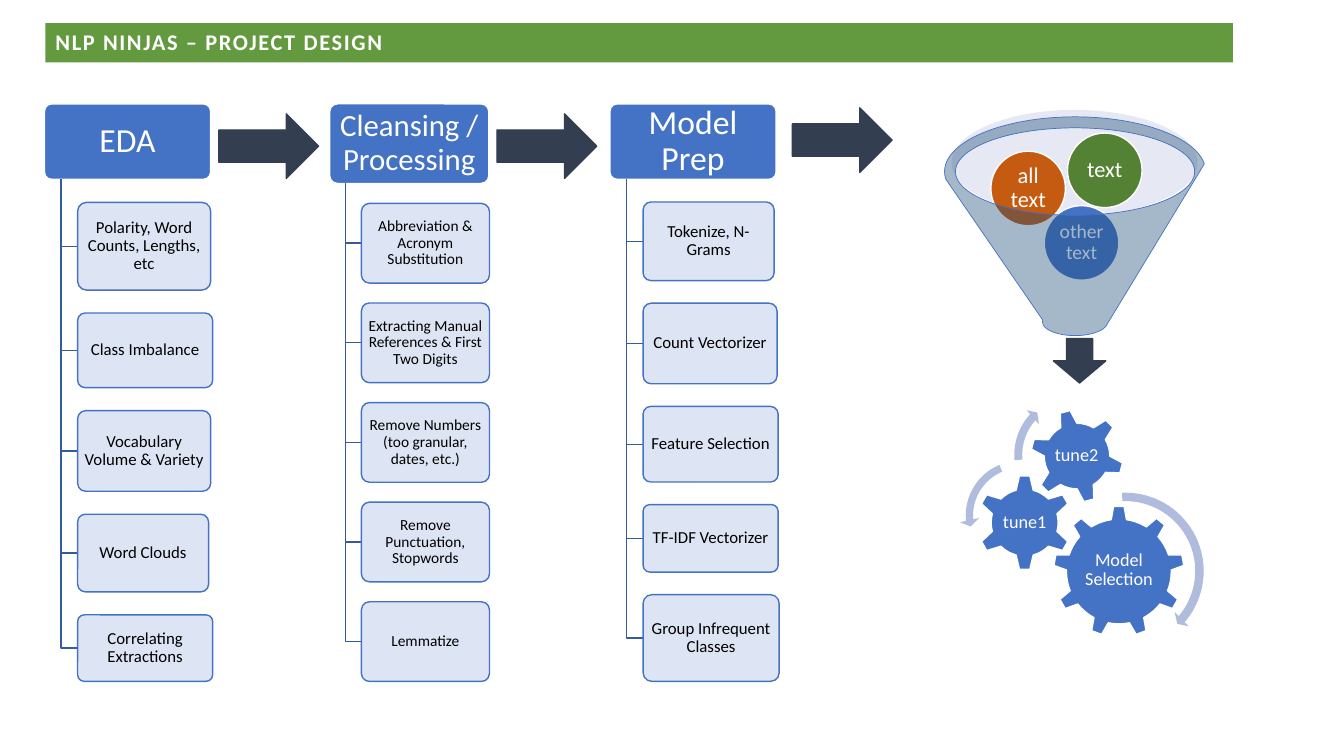
import pptx
import pptx.util
import pptx.dml.color
import pptx.enum.shapes
import pptx.enum.text
import pptx.oxml
import pptx.oxml.ns

# Grid: every length below counts cells of a tenth of an inch
CELL = pptx.util.Inches(0.1)
COLUMNS, ROWS = 133.33, 75

SHAPES = pptx.enum.shapes.MSO_SHAPE
ALIGN = pptx.enum.text.PP_ALIGN
FONT = "Calibri"
BLUE, PALE_BLUE, BRANCH_BLUE = "4472C4", "DAE3F3", "365B9D"
SLATE, GREEN, WHITE, BLACK = "333F50", "63993F", "FFFFFF", "000000"


def cells(*counts):
    return [round(count * CELL) for count in counts]


def paint(color_format, hex_color, alpha=100):
    color_format.rgb = pptx.dml.color.RGBColor.from_string(hex_color)
    if alpha < 100:
        color = color_format._xFill[0]
        element = pptx.oxml.parse_xml(
            f'<a:alpha {pptx.oxml.ns.nsdecls("a")} val="{alpha * 1000}"/>')
        color.append(element)


def style(shape, fill=None, line=None, weight=1, alpha=100):
    shape.shadow.inherit = False
    if fill:
        shape.fill.solid()
        paint(shape.fill.fore_color, fill, alpha)
    else:
        shape.fill.background()
    if line:
        paint_line = shape.line
        paint_line.fill.solid()
        paint(paint_line.fill.fore_color, line)
        paint_line.width = pptx.util.Pt(weight)
    else:
        shape.line.fill.background()


def write(shape, text, size, color=WHITE, side=0.02, edge=0.02, align=ALIGN.CENTER):
    frame = shape.text_frame
    frame.word_wrap = True
    frame.auto_size = pptx.enum.text.MSO_AUTO_SIZE.NONE
    frame.vertical_anchor = pptx.enum.text.MSO_ANCHOR.MIDDLE
    frame.margin_left = frame.margin_right = pptx.util.Inches(side)
    frame.margin_top = frame.margin_bottom = pptx.util.Inches(edge)
    frame.text = text
    paragraph = frame.paragraphs[0]
    paragraph.alignment = align
    paragraph.line_spacing = 0.9
    paragraph.font.name = FONT
    paragraph.font.size = pptx.util.Pt(size)
    paint(paragraph.font.color, color)
    return paragraph


def draw(slide, kind, box, fill, line=None, weight=1, alpha=100):
    shape = slide.shapes.add_shape(kind, *cells(*box))
    style(shape, fill, line, weight, alpha)
    return shape


def label(slide, box, text, size):
    write(slide.shapes.add_textbox(*cells(*box)), text, size)


def add_title(slide, box, text):
    banner = slide.shapes.title
    banner.left, banner.top, banner.width, banner.height = cells(*box)
    banner.fill.solid()
    paint(banner.fill.fore_color, GREEN)
    heading = write(banner, text, 16, side=0.1, edge=0, align=ALIGN.LEFT)
    heading.font.bold = True
    heading.runs[0].font._element.set("spc", "120")


def add_stage(slide, box, name, name_size, name_height, step_size, steps):
    """A stage name with its steps hanging from a trunk; steps are (text, width, height)."""
    left, top, width, height = box
    header = draw(slide, SHAPES.ROUNDED_RECTANGLE, (left, top, width, name_height), BLUE, WHITE)
    header.adjustments[0] = 0.1
    write(header, name, name_size, side=0.05, edge=0.03)

    trunk, step_left = left + 0.1 * width, left + 0.2 * width
    trunk_top = bottom = top + name_height
    gap = (height - name_height - sum(step[2] for step in steps)) / len(steps)
    for text, step_width, step_height in steps:
        step_top = bottom + gap
        bottom = step_top + step_height
        middle = step_top + step_height / 2
        branch = slide.shapes.build_freeform(*cells(trunk, trunk_top))
        branch.add_line_segments(
            [cells(trunk, middle), cells(step_left, middle)], close=False)
        style(branch.convert_to_shape(), line=BRANCH_BLUE)
        step = draw(slide, SHAPES.ROUNDED_RECTANGLE,
                    (step_left, step_top, step_width, step_height), PALE_BLUE, BLUE, alpha=90)
        step.adjustments[0] = 0.1
        write(step, text, step_size, BLACK)


def add_funnel(slide, box):
    left, top, width, height = box
    draw(slide, SHAPES.OVAL, (left + 0.7, top, 24.4, 10.5), "C1C9E4", alpha=40)
    draw(slide, SHAPES.DOWN_ARROW, (left + 10.8, top + height - 4.4, 5.2, 4.4), SLATE, SLATE)
    diameter, inset = 7.4, 1.1
    balls = [("other text", 14, 9.9, 9.5, BLUE),
             ("all text", 16, 4.6, 4.1, "C55A11"),
             ("text", 16, 12.2, 2.3, "548235")]
    for text, size, x, y, color in balls:
        x, y = left + x, top + y
        draw(slide, SHAPES.OVAL, (x, y, diameter, diameter), color, WHITE)
        side = diameter - 2 * inset
        label(slide, (x + inset, y + inset, side, side), text, size)
    draw(slide, SHAPES.FUNNEL, (left, top + 0.7, width, 21.7), "1F4E79", BLUE, 0.5, alpha=40)


def add_gears(slide, box):
    left, top = box[:2]
    # Gear: text, kind, x, y, size, rotation, label box within the gear
    gears = [("Model Selection", SHAPES.GEAR_9, 9.3, 11.6, 13, 0, (2.6, 3, 7.8, 6.7)),
             ("tune1", SHAPES.GEAR_6, 1.7, 8.5, 9.5, 0, (2.4, 2.4, 4.7, 4.7)),
             ("tune2", SHAPES.GEAR_6, 7, 2, 9.3, 345, (2, 2, 5.2, 5.2))]
    for text, kind, x, y, size, rotation, (dx, dy, wide, high) in gears:
        x, y = left + x, top + y
        draw(slide, kind, (x, y, size, size), BLUE, WHITE).rotation = rotation
        label(slide, (x + dx, y + dy, wide, high), text, 13)

    # Turning arrow: kind, x, y, size, thickness, head width, then three angles in degrees
    turns = [(SHAPES.CIRCULAR_ARROW, 8.1, 9.7, 16.7, 0.05, 0.06, (4.98, 40.56, 267.54)),
             (SHAPES.LEFT_CIRCULAR_ARROW, 0, 6.5, 12.1, 0.06, 0.08, (7.17, 174.82, 247.3)),
             (SHAPES.CIRCULAR_ARROW, 4.9, 0, 13.1, 0.06, 0.07, (6.57, 221.9, 175.14))]
    for kind, x, y, size, thickness, head, angles in turns:
        turn = draw(slide, kind, (left + x, top + y, size, size), "B0BCDE")
        values = [thickness, *(angle * 0.6 for angle in angles), head]
        for index, value in enumerate(values):
            turn.adjustments[index] = value


def main():
    deck = pptx.Presentation()
    deck.slide_width, deck.slide_height = cells(COLUMNS, ROWS)
    slide = deck.slides.add_slide(deck.slide_layouts[5])

    add_title(slide, (4.5, 2.3, 117.8, 3.9), "NLP NINJAS – PROJECT DESIGN")

    # Three stages sharing one top and bottom
    stage_top, stage_height = 10.3, 57.3
    add_stage(slide, (32.7, stage_top, 15.8, stage_height),
              "Cleansing / Processing", 22, 7.9, 11,
              [(text, 12.7, 7.9) for text in (
                  "Abbreviation & Acronym Substitution",
                  "Extracting Manual References & First Two Digits",
                  "Remove Numbers (too granular, dates, etc.)",
                  "Remove Punctuation, Stopwords",
                  "Lemmatize")])
    add_stage(slide, (4.4, stage_top, 16.5, stage_height), "EDA", 24, 7.5, 12, [
        ("Polarity, Word Counts, Lengths, etc", 13.2, 8.7),
        ("Class Imbalance", 13.4, 7.4),
        ("Vocabulary Volume & Variety", 13.2, 8),
        ("Word Clouds", 13, 7.7),
        ("Correlating Extractions", 13.4, 6.6)])
    add_stage(slide, (60.5, stage_top, 16.5, stage_height), "Model Prep", 24, 7.5, 12, [
        ("Tokenize, N-Grams", 13, 7.8),
        ("Count Vectorizer", 13.3, 8),
        ("Feature Selection", 13.4, 7.5),
        ("TF-IDF Vectorizer", 13.4, 6.7),
        ("Group Infrequent Classes", 13.5, 8.6)])

    # Arrows from stage to stage
    for x, y in ((21.7, 11.3), (49.3, 11.3), (78.6, 10.7)):
        draw(slide, SHAPES.RIGHT_ARROW, (x, y, 9.9, 6.4), SLATE, SLATE)

    # Text goes through the funnel into model tuning
    add_funnel(slide, (93.7, 10.9, 25.9, 27.1))
    add_gears(slide, (95.2, 38.6, 24.8, 26.4))

    deck.save("out.pptx")


if __name__ == "__main__":
    main()
